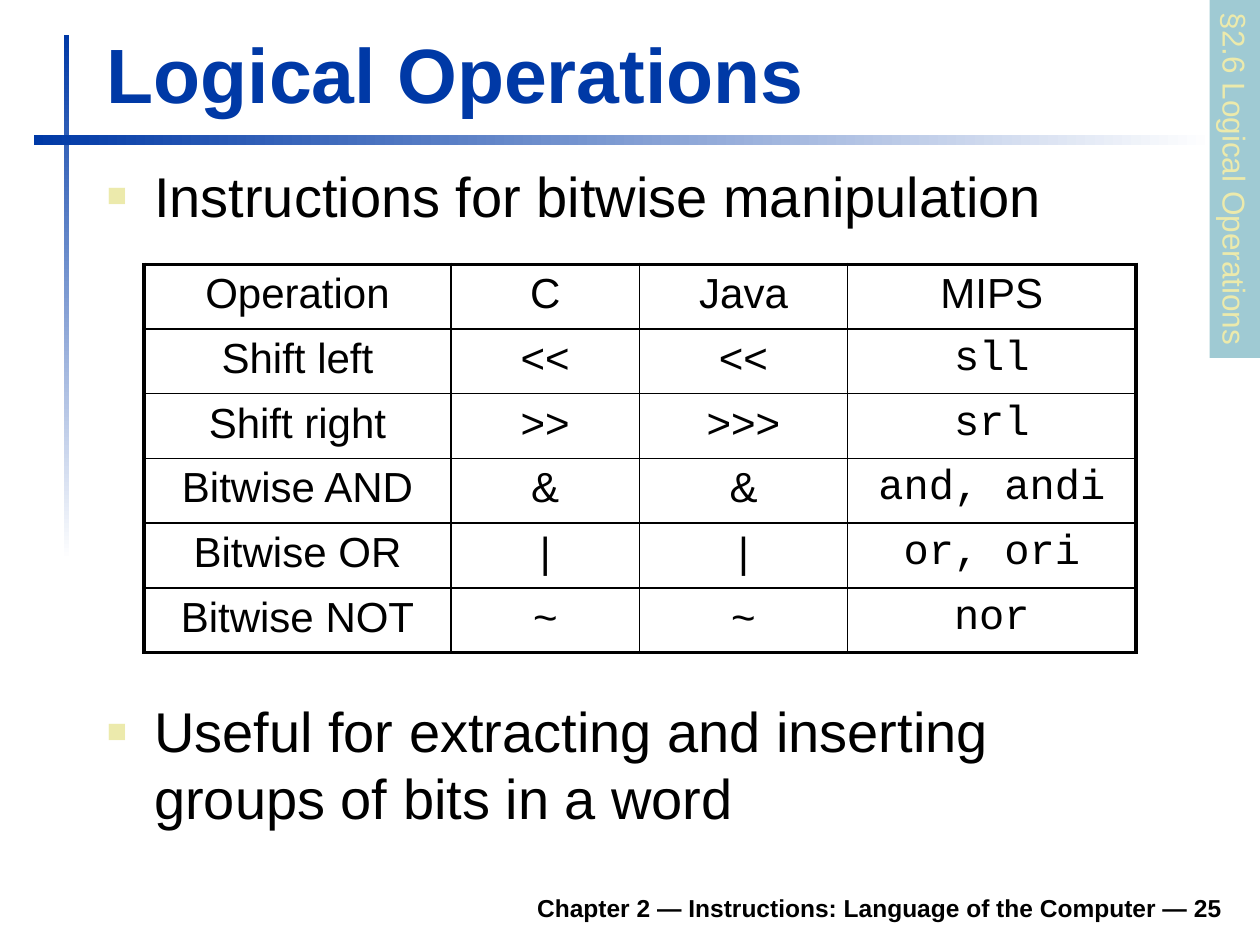
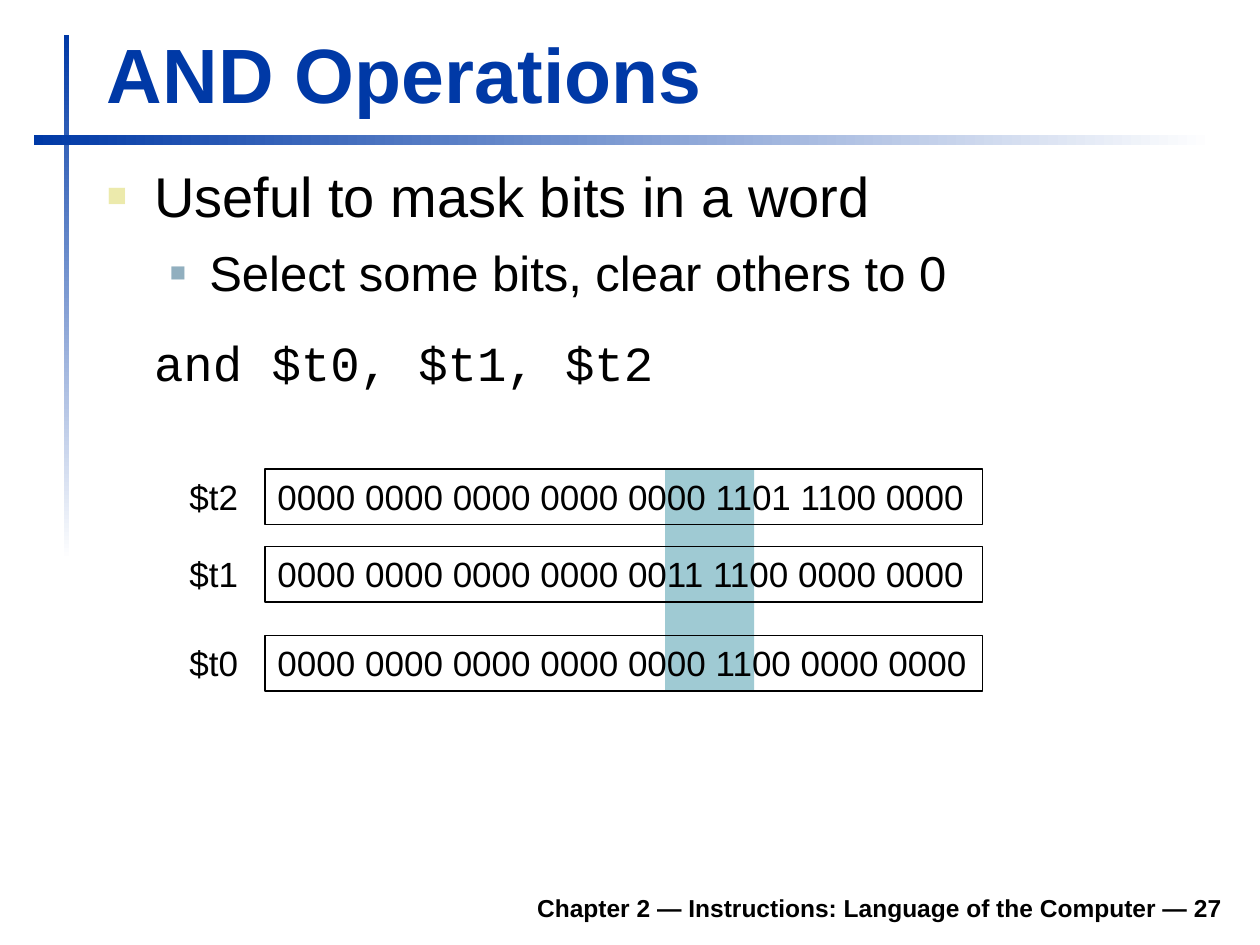
"""Build two lecture slides on logical and AND operations."""
import dataclasses

import pptx
import pptx.dml.color
import pptx.enum.shapes
import pptx.enum.text
import pptx.oxml
import pptx.oxml.ns
import pptx.util

Pt = pptx.util.Pt
RGB = pptx.dml.color.RGBColor.from_string
ALIGN = pptx.enum.text.PP_ALIGN
ANCHOR = pptx.enum.text.MSO_ANCHOR
FIT = pptx.enum.text.MSO_AUTO_SIZE.SHAPE_TO_FIT_TEXT
RECT = pptx.enum.shapes.MSO_SHAPE.RECTANGLE
NS = pptx.oxml.ns.nsdecls("a")


@dataclasses.dataclass(frozen=True)
class Theme:
    blue: str = "0039A6"
    white: str = "FFFFFF"
    black: str = "000000"
    teal: str = "9FCAD3"
    cream: str = "ECEAAC"
    slate: str = "91AFBF"
    sans: str = "Arial"
    mono: str = "Courier New"
    title: int = 44
    body: int = 32
    sub: int = 28
    cell: int = 24
    bits: int = 20
    tab: int = 18
    footer: int = 14


theme = Theme()


def write(tf, items, **frame):
    """Fill a text frame with (text, format) paragraphs."""
    for name, value in frame.items():
        setattr(tf, name, value)
    for i, (text, fmt) in enumerate(items):
        p = tf.paragraphs[0] if i == 0 else tf.add_paragraph()
        para = {"alignment": ALIGN.LEFT} | fmt.get("para", {})
        for name, value in para.items():
            setattr(p, name, value)
        pPr = p._p.get_or_add_pPr()
        left, first = fmt.get("indent", (0, 0))
        pPr.set("marL", str(Pt(left)))
        pPr.set("indent", str(Pt(first)))
        if "bullet" in fmt:
            color, percent = fmt["bullet"]
            for xml in (f'<a:buClr {NS}><a:srgbClr val="{color}"/></a:buClr>',
                        f'<a:buSzPct {NS} val="{percent * 1000}"/>',
                        f'<a:buFont {NS} typeface="{theme.sans}"/>',
                        f'<a:buChar {NS} char="■"/>'):
                pPr.append(pptx.oxml.parse_xml(xml))
        r = p.add_run()
        r.text = text
        font = {"name": theme.sans, "size": Pt(theme.body), "bold": False}
        for name, value in (font | fmt.get("font", {})).items():
            setattr(r.font, name, value)
        r.font.color.rgb = RGB(fmt.get("color", theme.black))


def add_rect(s, box, fill=None, line=None):
    """Add a plain rectangle."""
    sp = s.shapes.add_shape(RECT, *map(Pt, box))
    sp.shadow.inherit = False
    if fill:
        sp.fill.solid()
        sp.fill.fore_color.rgb = RGB(fill)
    else:
        sp.fill.background()
    if line:
        sp.line.color.rgb = RGB(line)
        sp.line.width = Pt(0.75)
    else:
        sp.line.fill.background()
    return sp


prs = pptx.Presentation()
prs.slide_width, prs.slide_height = Pt(720), Pt(540)

title_fmt = {"font": {"size": Pt(theme.title), "bold": True}, "color": theme.blue}
footer_fmt = {"font": {"size": Pt(theme.footer), "bold": True},
              "para": {"alignment": ALIGN.RIGHT}}
level1 = {"indent": (27, -27), "bullet": (theme.cream, 60)}
level2 = {"indent": (58.5, -22.5), "bullet": (theme.slate, 55),
          "font": {"size": Pt(theme.sub)}, "para": {"space_before": Pt(8)}}
code = {"indent": (27, 0), "font": {"name": theme.mono, "size": Pt(theme.sub)},
        "para": {"space_before": Pt(18), "space_after": Pt(8.4)}}
bands = [((36.7, 20.2, 2.9, 300), 270), ((19.5, 77, 674.5, 5.8), 0)]

slides = []
for title, number in (("Logical Operations", 25), ("AND Operations", 27)):
    s = prs.slides.add_slide(prs.slide_layouts[6])
    for box, angle in bands:
        sp = add_rect(s, box)
        sp.fill.gradient()
        sp.fill.gradient_angle = angle
        for stop, color in zip(sp.fill.gradient_stops, (theme.blue, theme.white)):
            stop.color.rgb = RGB(color)
    footer = f"Chapter 2 — Instructions: Language of the Computer — {number}"
    for box, text, fmt in (((133.2, 502.6, 572.4, 28), footer, footer_fmt),
                           ((54, 11.5, 650, 60), title, title_fmt)):
        sp = s.shapes.add_textbox(*map(Pt, box))
        write(sp.text_frame, [(text, fmt)], word_wrap=True,
              vertical_anchor=ANCHOR.BOTTOM)
    slides.append(s)
logical, masking = slides

bodies = [
    (logical, (54, 88.6, 651.6, 54.7),
     [("Instructions for bitwise manipulation", level1)]),
    (logical, (54, 394.6, 612, 85),
     [("Useful for extracting and inserting groups of bits in a word", level1)]),
    (masking, (54, 88.6, 651.6, 163.4),
     [("Useful to mask bits in a word", level1),
      ("Select some bits, clear others to 0", level2),
      ("and $t0, $t1, $t2", code)]),
]
for s, box, items in bodies:
    sp = s.shapes.add_textbox(*map(Pt, box))
    write(sp.text_frame, items, word_wrap=True, vertical_anchor=ANCHOR.TOP)

operations = [
    ("Operation", "C", "Java", "MIPS"),
    ("Shift left", "<<", "<<", "sll"),
    ("Shift right", ">>", ">>>", "srl"),
    ("Bitwise AND", "&", "&", "and, andi"),
    ("Bitwise OR", "|", "|", "or, ori"),
    ("Bitwise NOT", "~", "~", "nor"),
]
widths = (175.6, 107.6, 119, 164.8)
last_row, last_col = len(operations) - 1, len(widths) - 1
frame = logical.shapes.add_table(len(operations), len(widths), Pt(82.2), Pt(151),
                                 Pt(sum(widths)), Pt(37 * len(operations)))
table = frame.table
table.first_row = table.horz_banding = False
for column, width in zip(table.columns, widths):
    column.width = Pt(width)
for i, row in enumerate(operations):
    table.rows[i].height = Pt(37)
    for j, text in enumerate(row):
        cell = table.cell(i, j)
        cell.fill.background()
        face = theme.mono if i > 0 and j == last_col else theme.sans
        write(cell.text_frame, [(text, {
            "font": {"name": face, "size": Pt(theme.cell)},
            "para": {"alignment": ALIGN.CENTER}})])
        edges = {
            "lnL": 2.25 if j == 0 else 1,
            "lnR": 2.25 if j == last_col else 1,
            "lnT": {0: 2.25, 1: 1.5}.get(i, 1),
            "lnB": {0: 1.5, last_row: 2.25}.get(i, 1),
        }
        tcPr = cell._tc.get_or_add_tcPr()
        for k, (edge, width) in enumerate(edges.items()):
            tcPr.insert(k, pptx.oxml.parse_xml(
                f'<a:{edge} {NS} w="{Pt(width)}"><a:solidFill>'
                f'<a:srgbClr val="{theme.black}"/></a:solidFill></a:{edge}>'))

section = add_rect(logical, (603.4, 87.8, 204.5, 29), fill=theme.teal)
section.rotation = 90
snug = {"word_wrap": False, "auto_size": FIT, "vertical_anchor": ANCHOR.TOP}
write(section.text_frame, [("§2.6 Logical Operations", {
    "font": {"size": Pt(theme.tab)}, "color": theme.cream})], **snug)

add_rect(masking, (380, 268.5, 51, 126.5), fill=theme.teal)
registers = [
    ("$t2", 268, "0000 0000 0000 0000 0000 1101 1100 0000"),
    ("$t1", 312.4, "0000 0000 0000 0000 0011 1100 0000 0000"),
    ("$t0", 363.2, "0000 0000 0000 0000 0000 1100 0000 0000"),
]
bits_fmt = {"font": {"size": Pt(theme.bits)}}
for name, top, bits in registers:
    word = add_rect(masking, (151.5, top, 410, 31.7), line=theme.black)
    label = masking.shapes.add_textbox(*map(Pt, (101.2, top, 42.5, 31)))
    for sp, text in ((word, bits), (label, name)):
        write(sp.text_frame, [(text, bits_fmt)], **snug)

prs.save("out.pptx")
